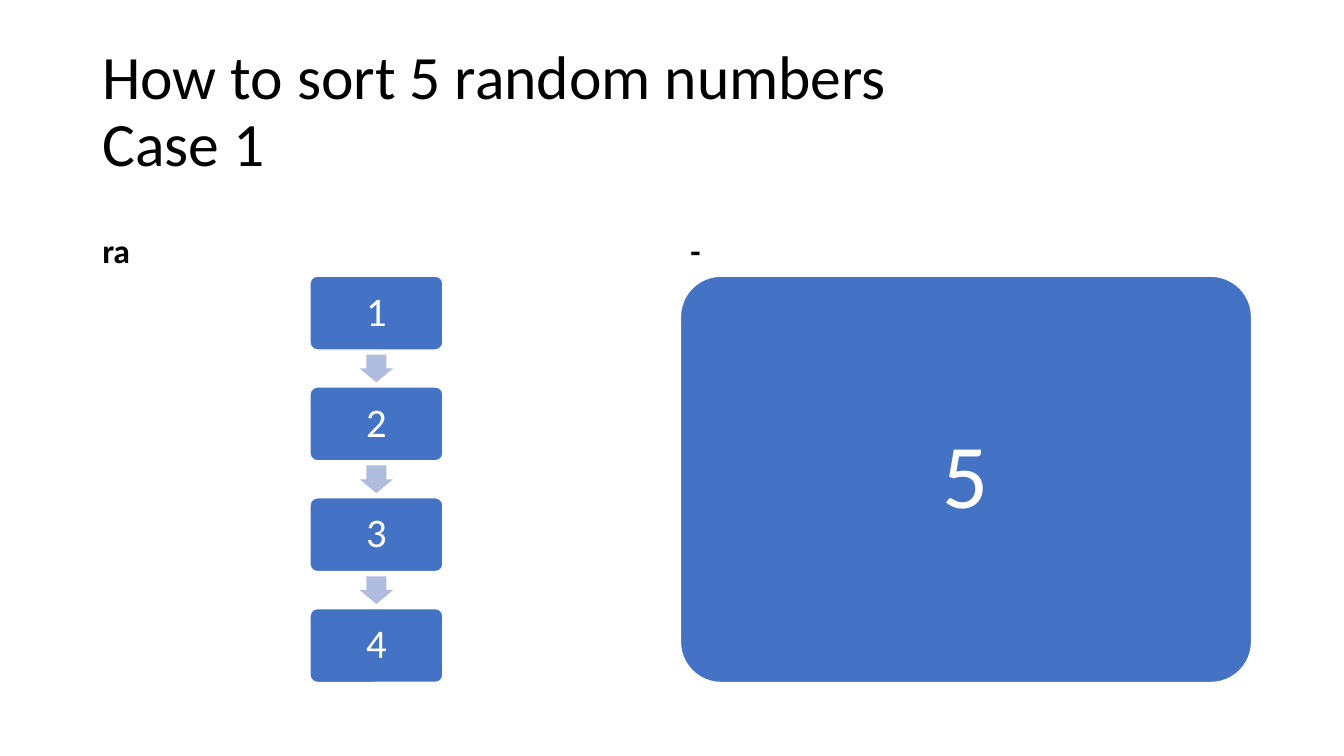
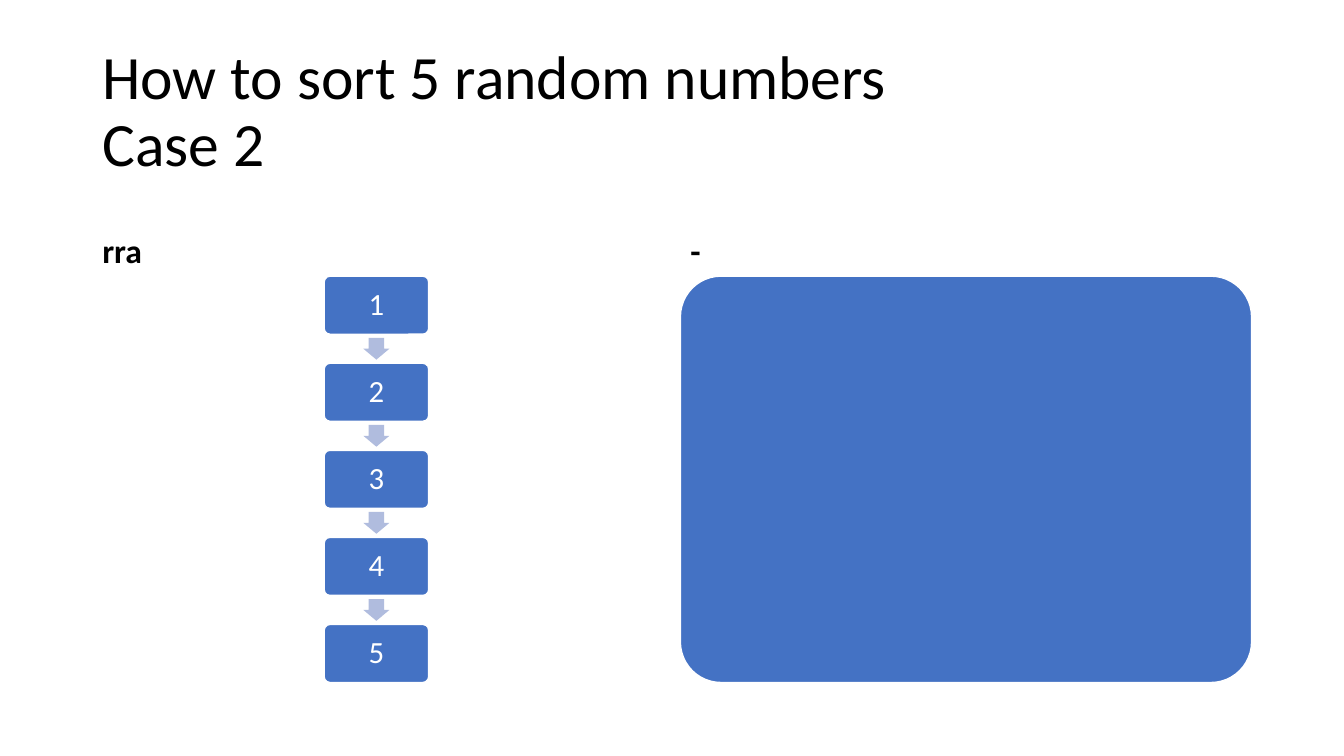
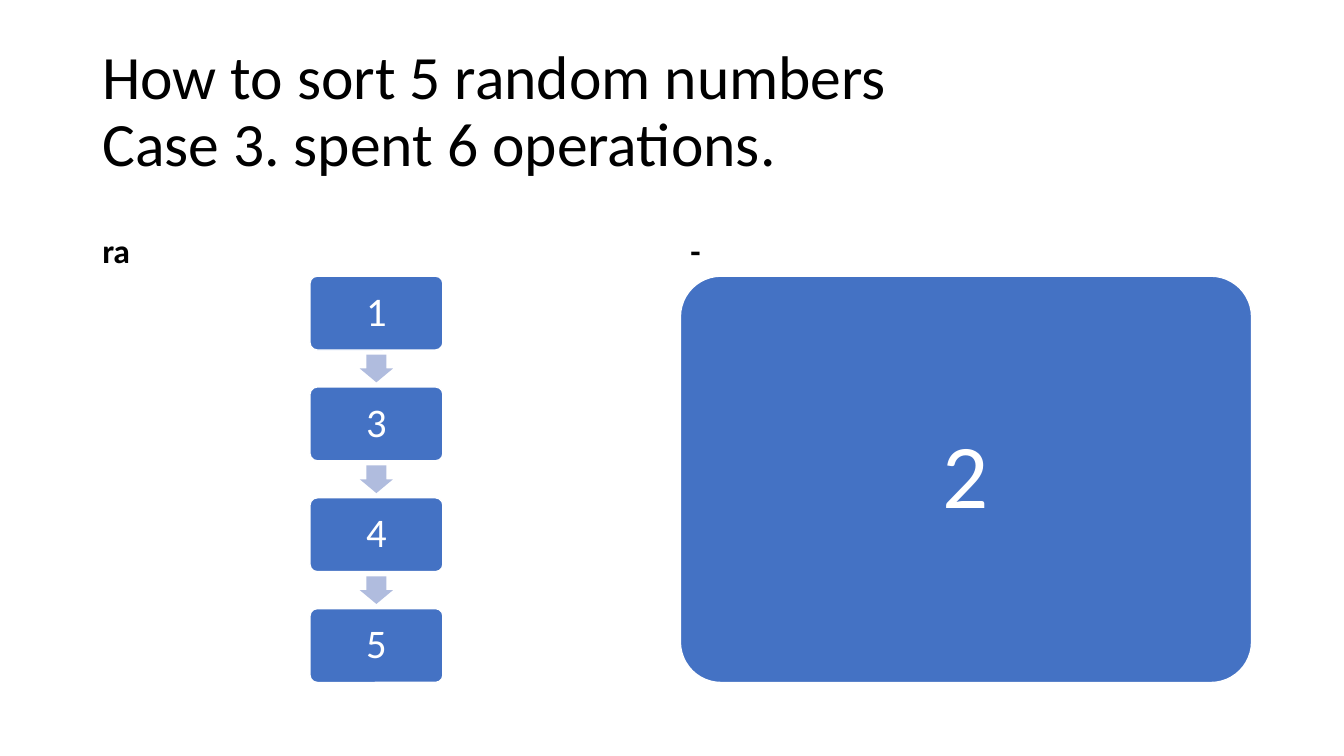
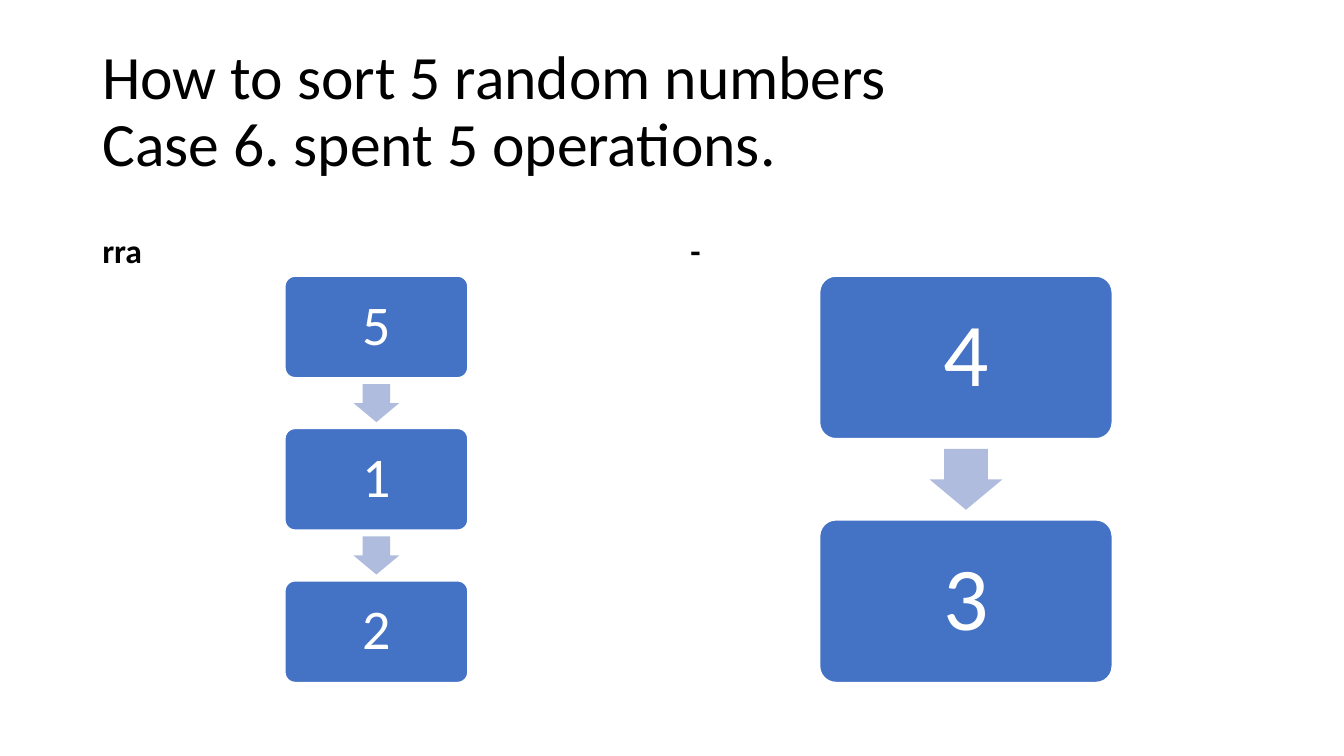
from pptx import Presentation
from pptx.dml.color import RGBColor
from pptx.enum.shapes import MSO_SHAPE
from pptx.enum.text import MSO_ANCHOR, PP_ALIGN
from pptx.util import Emu, Pt

PX = 9525
FONT = "Calibri"
BLACK, WHITE, BLUE, PALE_BLUE = "000000", "FFFFFF", "4472C4", "B0BCDE"
TITLE = (88, 38, 1104, 139)
COLUMNS = ((88, 177, 541, 473), (648, 177, 544, 473))
HEADING_HEIGHT = 86
NUMBER_SIZES = {1: 65, 2: 64, 3: 40, 4: 29, 5: 22}
CASES = (
    ("Case 1", ("ra", "1234"), ("-", "5")),
    ("Case 2", ("rra", "12345"), ("-", " ")),
    ("Case 3. spent 6 operations.", ("ra", "1345"), ("-", "2")),
    ("Case 6. spent 5 operations.", ("rra", "512"), ("-", "43")),
)


def color(value):
    """Turn a hex string into a colour."""
    return RGBColor.from_string(value)


def emu(box):
    """Scale a px box to whole EMU lengths."""
    return [Emu(round(length * PX)) for length in box]


def write(shape, text, size, ink, anchor, align=PP_ALIGN.LEFT, bold=False):
    """Put one styled paragraph into a shape."""
    frame = shape.text_frame
    frame.word_wrap = True
    frame.vertical_anchor = anchor
    frame.text = text
    paragraph = frame.paragraphs[0]
    paragraph.alignment = align
    paragraph.line_spacing = 0.9
    for span in paragraph.runs:
        span.font.name = FONT
        span.font.size = Pt(size)
        span.font.bold = bold
        span.font.color.rgb = color(ink)


def add_preset(page, kind, box, fill, adjustments):
    """Add a filled preset shape without line or shadow."""
    shape = page.shapes.add_shape(kind, *emu(box))
    shape.shadow.inherit = False
    shape.fill.solid()
    shape.fill.fore_color.rgb = color(fill)
    shape.line.fill.background()
    for index, value in enumerate(adjustments):
        shape.adjustments[index] = value
    return shape


def add_stack(page, box, numbers):
    """Fill a box with number cards joined by downward arrows."""
    left, top, width, height = box
    count = len(numbers)
    card_height = height / (1.5 * count - 0.5)
    card_width = width if count == 1 else 1.8 * card_height
    arrow_width, arrow_height = 0.45 * card_height, 0.375 * card_height
    center = left + width / 2
    for index, number in enumerate(numbers):
        card_top = top + 1.5 * card_height * index
        if index:
            arrow_top = card_top - (0.5 * card_height + arrow_height) / 2
            arrow_box = (center - arrow_width / 2, arrow_top, arrow_width, arrow_height)
            add_preset(page, MSO_SHAPE.DOWN_ARROW, arrow_box, PALE_BLUE, (0.6, 0.5))
        card_box = (center - card_width / 2, card_top, card_width, card_height)
        card = add_preset(page, MSO_SHAPE.ROUNDED_RECTANGLE, card_box, BLUE, (0.1,))
        card.line.color.rgb = color(WHITE)
        card.line.width = Pt(1)
        if number.strip():
            write(card, number, NUMBER_SIZES[count], WHITE, MSO_ANCHOR.MIDDLE, PP_ALIGN.CENTER)


def add_column(page, box, heading, numbers):
    """Place a bold heading above a stack of numbers."""
    left, top, width, height = box
    label = page.shapes.add_textbox(*emu((left, top, width, HEADING_HEIGHT)))
    write(label, heading, 24, BLACK, MSO_ANCHOR.BOTTOM, bold=True)
    add_stack(page, (left, top + HEADING_HEIGHT, width, height - HEADING_HEIGHT), numbers)


def add_case(deck, case, *stacks):
    """Add a slide with the shared title and two columns."""
    page = deck.slides.add_slide(deck.slide_layouts[6])
    title = page.shapes.add_textbox(*emu(TITLE))
    write(title, f"How to sort 5 random numbers\v{case}", 44, BLACK, MSO_ANCHOR.MIDDLE)
    for box, (heading, numbers) in zip(COLUMNS, stacks):
        add_column(page, box, heading, numbers)


def main():
    """Build and save the deck."""
    deck = Presentation()
    deck.slide_width, deck.slide_height = emu((1280, 720))
    for case in CASES:
        add_case(deck, *case)
    deck.save("out.pptx")


if __name__ == "__main__":
    main()
